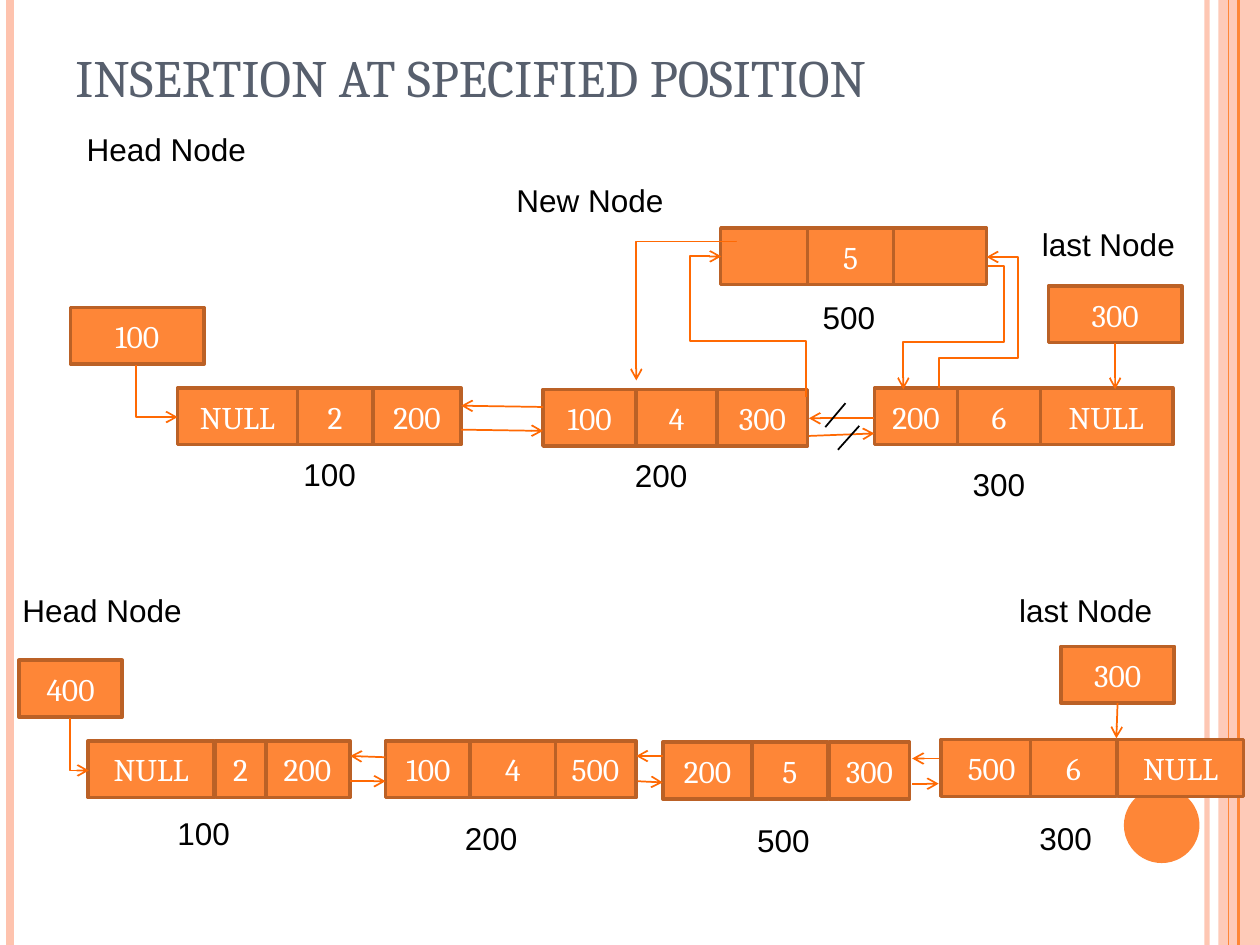
"""Build a slide showing insertion at a given position in a doubly linked list."""
from lxml.etree import SubElement
from pptx import Presentation
from pptx.dml.color import RGBColor
from pptx.enum.shapes import MSO_CONNECTOR as LINK, MSO_SHAPE as SHAPE
from pptx.enum.text import MSO_ANCHOR as ANCHOR, PP_ALIGN as ALIGN
from pptx.oxml.ns import qn
from pptx.util import Inches, Pt

COLORS = {
    "orange": "FE8637", "peach": "FEC3AE", "border": "BB6126", "arrow": "FF6903",
    "title": "575F6D", "black": "000000", "white": "FFFFFF",
}
TITLE = "INSERTION AT SPECIFIED POSITION"
CELL_HEIGHT = 0.45

# x, colour, width in points, opacity in percent
STRIPES = [(9.58, "peach", 3, 93), (0.08, "peach", 4.5, 100),
           (9.83, "orange", 1.5, 100), (9.75, "orange", 0.75, 100)]

# top, then cells as text, left, width
NODES = [
    (1.81, [("", 5.72, 0.69), ("", 7.07, 0.76), ("5", 6.41, 0.68)]),
    (3.08, [("NULL", 1.41, 0.95), ("200", 2.96, 0.7), ("2", 2.36, 0.6)]),
    (3.09, [("100", 4.31, 0.74), ("300", 5.69, 0.72), ("4", 5.05, 0.64)]),
    (3.08, [("NULL", 8.25, 1.06), ("200", 6.94, 0.66), ("6", 7.6, 0.66)]),
    (5.88, [("NULL", 0.7, 1), ("200", 2.1, 0.68), ("2", 1.71, 0.4)]),
    (5.88, [("100", 3.06, 0.68), ("500", 4.4, 0.65), ("4", 3.73, 0.68)]),
    (5.89, [("200", 5.26, 0.71), ("300", 6.58, 0.64), ("5", 5.97, 0.6)]),
    (5.87, [("NULL", 8.87, 1), ("500", 7.47, 0.8), ("6", 8.18, 0.68)]),
]
HEAD_POINTERS = [(2.44, "100", 0.56, 1.06), (5.24, "400", 0.15, 0.82)]

# top, text, left, width, arrow end
LAST_POINTERS = [(2.27, "300", 8.32, 1.06, (8.85, 3.09)),
                 (5.13, "300", 8.42, 0.9, (8.86, 5.86))]

ADDRESSES = [("500", 6.43, 2.32), ("100", 2.31, 3.56), ("200", 4.94, 3.57),
             ("300", 7.62, 3.64), ("100", 1.31, 6.41), ("200", 3.59, 6.45),
             ("500", 5.91, 6.47), ("300", 8.15, 6.45)]
NAMES = [("Head Node", 0.59, 0.98), ("New Node", 4, 1.39), ("last Node", 8.17, 1.74),
         ("Head Node", 0.08, 4.64), ("last Node", 7.99, 4.64)]

ARROWS = [
    (3.66, 3.41, 4.31, 3.42), (4.31, 3.23, 3.66, 3.22),
    (6.42, 3.46, 6.94, 3.44), (6.94, 3.32, 6.42, 3.32),
    (2.78, 6.2, 3.06, 6.2), (3.06, 6.01, 2.78, 6),
    (5.06, 6.2, 5.26, 6.21), (5.26, 6, 5.05, 6),
    (7.24, 6.22, 7.45, 6.22), (7.45, 6.02, 7.24, 6.02),
]
CUTS = [(6.71, 3.2, 6.55, 3.39), (6.82, 3.38, 6.65, 3.57)]

# preset, left, top, width, height, rotation, flips, bends in percent
ELBOWS = [
    ("bentConnector4", 5.5, 2.26, 1.12, 0.67, 270, "V", (39.8, 137.5)),
    ("bentConnector4", 7.17, 2.11, 0.67, 0.98, 0, "H", (-19.4, 61.6)),
    ("bentConnector2", 1.04, 2.94, 0.41, 0.33, 270, "H", ()),
    ("bentConnector2", 0.42, 5.83, 0.42, 0.15, 270, "H", ()),
    ("bentConnector3", 4.89, 2.07, 1.11, 0.79, 90, "", (0.7,)),
    ("bentConnector4", 7.12, 2.37, 1.04, 0.38, 90, "HV", (23, 165.8)),
]


def rgb(name):
    return RGBColor.from_string(COLORS[name])


def set_opacity(element, percent):
    color = next(element.iter(qn("a:srgbClr")))
    SubElement(color, qn("a:alpha"), val=str(percent * 1000))


def write(shape, text, font, size, color):
    frame = shape.text_frame
    frame.word_wrap = True
    frame.text = text
    for span in frame.paragraphs[0].runs:
        span.font.name, span.font.size = font, Pt(size)
        span.font.color.rgb = rgb(color)
    return frame


def add_text(slide, text, left, top, width, height, font="Arial", size=18, color="black"):
    box = slide.shapes.add_textbox(*map(Inches, (left, top, width, height)))
    return write(box, text, font, size, color)


def add_solid(slide, kind, left, top, width, height, color):
    shape = slide.shapes.add_shape(kind, *map(Inches, (left, top, width, height)))
    shape.shadow.inherit = False
    shape.fill.solid()
    shape.fill.fore_color.rgb = rgb(color)
    shape.line.fill.background()
    return shape


def add_cell(slide, top, text, left, width):
    cell = add_solid(slide, SHAPE.RECTANGLE, left, top, width, CELL_HEIGHT, "orange")
    cell.line.color.rgb = rgb("border")
    cell.line.width = Pt(2)
    if text:
        frame = write(cell, text, "Cambria", 18, "white")
        frame.vertical_anchor = ANCHOR.MIDDLE
        frame.paragraphs[0].alignment = ALIGN.CENTER
    return cell


def add_line(slide, points, color="arrow", width=1, arrow=False, kind=LINK.STRAIGHT):
    line = slide.shapes.add_connector(kind, *map(Inches, points))
    line.line.color.rgb = rgb(color)
    line.line.width = Pt(width)
    SubElement(line._element.spPr, qn("a:effectLst"))
    if arrow:
        SubElement(line.line._get_or_add_ln(), qn("a:tailEnd"), type="arrow")
    return line


def add_elbow(slide, preset, left, top, width, height, rotation, flips, bends):
    points = (left, top, left + width, top + height)
    properties = add_line(slide, points, arrow=True, kind=LINK.ELBOW)._element.spPr
    frame = properties.find(qn("a:xfrm"))
    frame.set("rot", str(rotation * 60000))
    for flip in flips:
        frame.set(f"flip{flip}", "1")
    geometry = properties.find(qn("a:prstGeom"))
    geometry.set("prst", preset)
    guides = geometry.find(qn("a:avLst"))
    for number, bend in enumerate(bends, 1):
        SubElement(guides, qn("a:gd"), name=f"adj{number}", fmla=f"val {round(bend * 1000)}")


def add_background(slide):
    band = add_solid(slide, SHAPE.RECTANGLE, 9.67, 0, 0.33, 7.5, "peach")
    set_opacity(band._element.spPr, 87)
    for x, color, width, opacity in STRIPES:
        stripe = add_line(slide, (x, 0, x, 7.5), color, width)
        if opacity < 100:
            set_opacity(stripe._element.spPr, opacity)
    add_solid(slide, SHAPE.OVAL, 8.92, 6.25, 0.6, 0.6, "orange")


def main():
    deck = Presentation()
    deck.slide_width, deck.slide_height = Inches(10), Inches(7.5)
    slide = deck.slides.add_slide(deck.slide_layouts[6])
    add_background(slide)
    heading = add_text(slide, TITLE, 0.5, 0.3, 8.17, 0.61, "Cambria", 30, "title")
    heading.vertical_anchor = ANCHOR.BOTTOM

    for top, cells in NODES:
        for cell in cells:
            add_cell(slide, top, *cell)
    for pointer in HEAD_POINTERS:
        add_cell(slide, *pointer)
    for top, text, left, width, end in LAST_POINTERS:
        pointer = add_cell(slide, top, text, left, width)
        start = (left + width / 2, top + CELL_HEIGHT)
        add_line(slide, start + end, arrow=True).begin_connect(pointer, 2)

    for labels, width in ((ADDRESSES, 0.85), (NAMES, 1.57)):
        for text, left, top in labels:
            add_text(slide, text, left, top, width, 0.4)
    for points in ARROWS:
        add_line(slide, points, arrow=True)
    for points in CUTS:
        add_line(slide, points, "black")
    for elbow in ELBOWS:
        add_elbow(slide, *elbow)
    deck.save("out.pptx")


if __name__ == "__main__":
    main()
